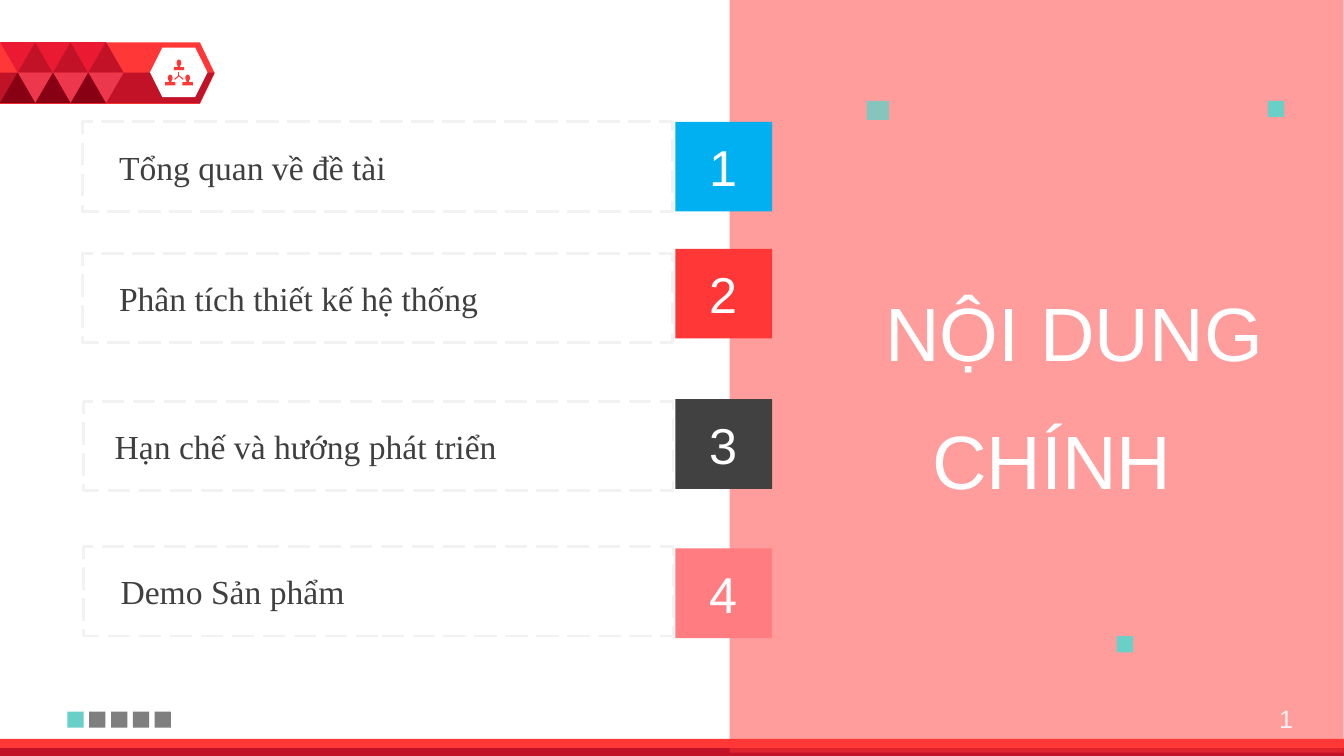
from pptx import Presentation
from pptx.dml.color import RGBColor
from pptx.enum.dml import MSO_LINE
from pptx.enum.shapes import MSO_CONNECTOR, MSO_SHAPE
from pptx.enum.text import MSO_ANCHOR, PP_ALIGN
from pptx.oxml.ns import qn
from pptx.util import Cm, Pt
from lxml.etree import SubElement

RED = RGBColor(0xFF, 0x37, 0x37)
DARK_RED = RGBColor(0xC2, 0x12, 0x27)
CRIMSON = RGBColor(0xEB, 0x19, 0x32)
ROSE = RGBColor(0xED, 0x37, 0x4D)
MAROON = RGBColor(0x88, 0x00, 0x14)
PINK = RGBColor(0xFF, 0x7C, 0x80)
BLUE = RGBColor(0x00, 0xB0, 0xF0)
CHARCOAL = RGBColor(0x41, 0x41, 0x41)
TEXT_GREY = RGBColor(0x3F, 0x3F, 0x3F)
GREY = RGBColor(0x7F, 0x7F, 0x7F)
PALE = RGBColor(0xF2, 0xF2, 0xF2)
TEAL = RGBColor(0x68, 0xD0, 0xC6)
WHITE = RGBColor(0xFF, 0xFF, 0xFF)

WIDTH, HEIGHT = 33.87, 19.05
ROW_HEIGHT = 2.26
AGENDA = [
    ("Tổng quan về đề tài", BLUE, 3.07, 2.09, 3.07, 0.91),
    ("Phân tích thiết kế hệ thống", RED, 6.27, 2.09, 6.38, 0.91),
    ("Hạn chế và hướng phát triển", CHARCOAL, 10.06, 2.1, 10.11, 0.79),
    ("Demo Sản phẩm", PINK, 13.82, 2.1, 13.77, 0.94),
]


def paint(shape, color, alpha=None):
    """Give a shape a flat fill without line or shadow."""
    shape.shadow.inherit = False
    shape.line.fill.background()
    shape.fill.solid()
    shape.fill.fore_color.rgb = color
    if alpha:
        tint = shape.fill._xPr.find(qn("a:solidFill"))[0]
        SubElement(tint, qn("a:alpha")).set("val", str(alpha * 1000))


def add_block(slide, left, top, width, height, color, kind=MSO_SHAPE.RECTANGLE, alpha=None):
    """Add a filled preset shape."""
    block = slide.shapes.add_shape(kind, Cm(left), Cm(top), Cm(width), Cm(height))
    paint(block, color, alpha)
    return block


def write(shape, text, size, font_name, color, align):
    """Put one styled line of text in a shape."""
    shape.text_frame.word_wrap = True
    line = shape.text_frame.paragraphs[0]
    line.text = text
    line.alignment = align
    line.font.size = Pt(size)
    line.font.name = font_name
    line.font.color.rgb = color


def add_right_text(slide, left, top, width, height, text, size, color):
    """Add a right-aligned text box."""
    box = slide.shapes.add_textbox(Cm(left), Cm(top), Cm(width), Cm(height))
    write(box, text, size, "Arial", color, PP_ALIGN.RIGHT)


def add_person(slide, center, top):
    """Add a small head and shoulders."""
    add_block(slide, center - 0.06, top, 0.12, 0.17, RED, MSO_SHAPE.OVAL)
    add_block(slide, center - 0.03, top + 0.14, 0.06, 0.08, RED)
    add_block(slide, center - 0.13, top + 0.19, 0.26, 0.08, RED, MSO_SHAPE.ROUND_2_SAME_RECTANGLE)


def add_network_icon(slide):
    """Add three people joined at a hub."""
    hub_x, hub_y = 4.51, 1.91
    for end_x, end_y in ((4.51, 1.81), (4.4, 2), (4.62, 2)):
        link = slide.shapes.add_connector(
            MSO_CONNECTOR.STRAIGHT, Cm(hub_x), Cm(hub_y), Cm(end_x), Cm(end_y))
        link.line.color.rgb = RED
        link.line.width = Pt(0.75)
        SubElement(link._element.spPr, qn("a:effectLst"))
    for center, top in ((4.51, 1.5), (4.29, 1.88), (4.73, 1.88)):
        add_person(slide, center, top)


def add_banner(slide):
    """Add the red arrow banner with its triangles and icon."""
    arrow = add_block(slide, 0, 1.07, 5.41, 1.55, RED, MSO_SHAPE.PENTAGON)
    arrow.adjustments[0] = 0.239
    outline = slide.shapes.build_freeform(Cm(0), Cm(1.83))
    outline.add_line_segments([(Cm(5.41), Cm(1.83)), (Cm(5.03), Cm(2.6)), (Cm(0), Cm(2.6))])
    paint(outline.convert_to_shape(), DARK_RED)
    hexagon = add_block(slide, 3.78, 1.2, 1.45, 1.25, WHITE, MSO_SHAPE.HEXAGON)
    hexagon.adjustments[0] = 0.25
    add_network_icon(slide)
    side, rise = 0.89, 0.77
    for column in range(3):
        left = column * side
        for shift, top, color, turn in (
                (0, 1.06, CRIMSON, 180), (side / 2, 1.06, DARK_RED, 0),
                (side / 2, 1.83, ROSE, 180), (0, 1.83, MAROON, 0)):
            triangle = add_block(slide, left + shift, top, side, rise, color,
                                 MSO_SHAPE.ISOSCELES_TRIANGLE)
            triangle.rotation = turn


def add_agenda_row(slide, number, topic, color, badge_top, frame_left, frame_top, indent):
    """Add a dashed topic frame and its numbered badge."""
    frame = add_block(slide, frame_left, frame_top, 14.86, ROW_HEIGHT, WHITE)
    frame.fill.background()
    frame.line.color.rgb = PALE
    frame.line.width = Pt(2)
    frame.line.dash_style = MSO_LINE.LONG_DASH
    frame.text_frame.margin_left = Cm(indent)
    frame.text_frame.vertical_anchor = MSO_ANCHOR.MIDDLE
    write(frame, topic, 24, "Times New Roman", TEXT_GREY, PP_ALIGN.LEFT)
    badge = add_block(slide, 17.02, badge_top, 2.44, ROW_HEIGHT, color)
    badge.text_frame.vertical_anchor = MSO_ANCHOR.MIDDLE
    write(badge, str(number), 36, "Arial", WHITE, PP_ALIGN.CENTER)


def main():
    """Build the agenda slide."""
    deck = Presentation()
    deck.slide_width, deck.slide_height = Cm(WIDTH), Cm(HEIGHT)
    slide = deck.slides.add_slide(deck.slide_layouts[6])
    add_banner(slide)
    add_block(slide, 0, 18.62, WIDTH, 0.41, RED)
    add_block(slide, 0, 18.85, WIDTH, 0.2, DARK_RED)
    add_block(slide, 18.39, -0.08, 15.47, HEIGHT, RED, alpha=49)
    add_right_text(slide, 15.14, 7.09, 16.94, 2.57, "NỘI DUNG", 54, WHITE)
    add_right_text(slide, 12.83, 10.31, 16.94, 2.57, "CHÍNH", 54, WHITE)
    add_block(slide, 21.84, 2.54, 0.56, 0.48, TEAL, alpha=80)
    for left, top in ((28.14, 16.03), (31.95, 2.54)):
        add_block(slide, left, top, 0.41, 0.41, TEAL)
    for step in range(5):
        add_block(slide, 1.7 + step * 0.55, 17.93, 0.41, 0.41, GREY if step else TEAL)
    for number, row in enumerate(AGENDA, 1):
        add_agenda_row(slide, number, *row)
    add_right_text(slide, 31.34, 17.6, 1.5, 1.02, "1", 18, PALE)
    deck.save("out.pptx")


if __name__ == "__main__":
    main()
